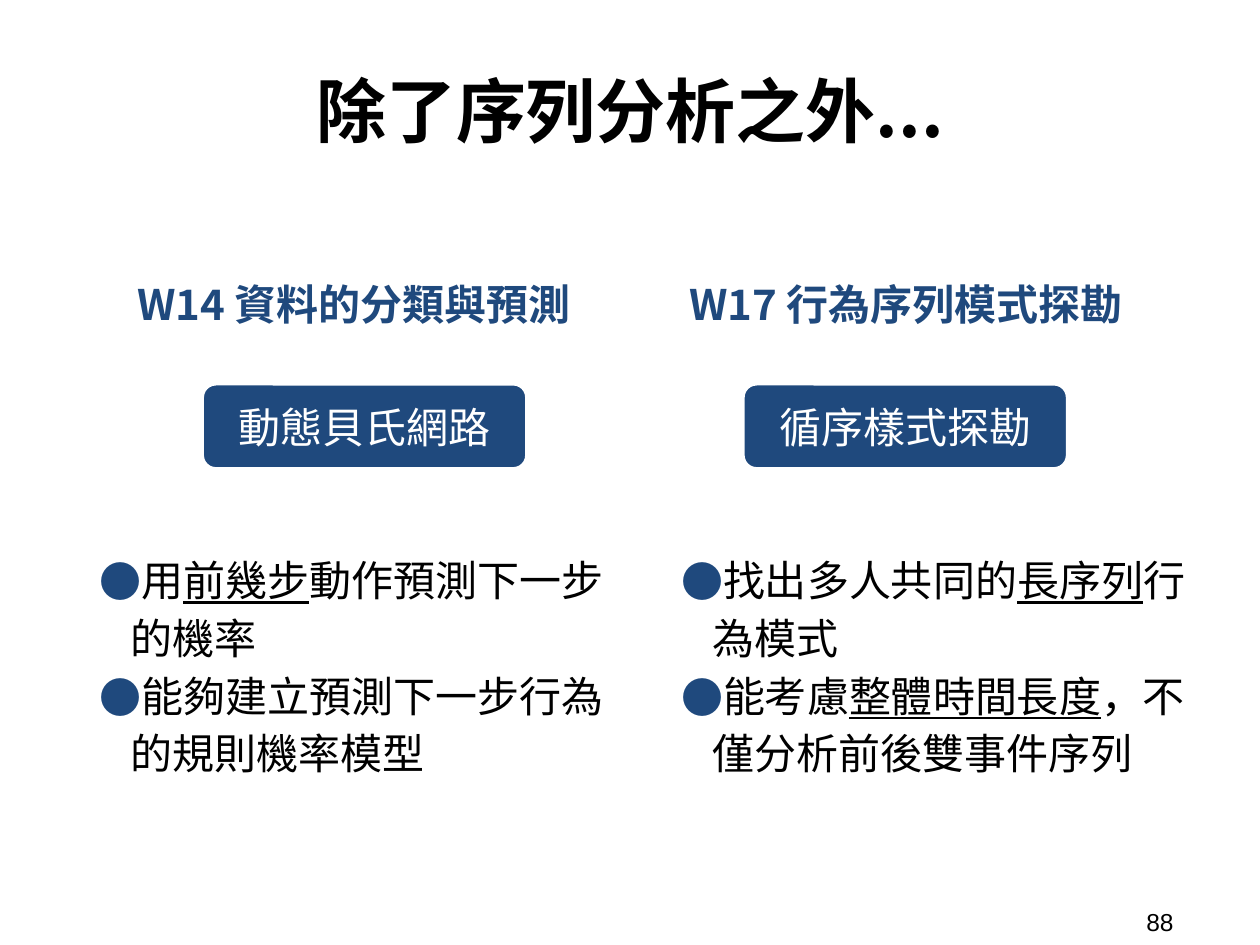
from lxml import etree
from pptx import Presentation
from pptx.dml.color import RGBColor
from pptx.enum.shapes import MSO_SHAPE
from pptx.enum.text import MSO_ANCHOR, MSO_AUTO_SIZE, PP_ALIGN
from pptx.oxml.ns import qn
from pptx.util import Cm, Pt

TOP, MIDDLE = MSO_ANCHOR.TOP, MSO_ANCHOR.MIDDLE
LEFT, CENTER = PP_ALIGN.LEFT, PP_ALIGN.CENTER
NAVY = RGBColor(0x1F, 0x49, 0x7D)
BLACK = RGBColor(0, 0, 0)
WHITE = RGBColor(255, 255, 255)
CJK_FONT = "Noto Sans CJK TC"

# Content: underlined parts of a point are (text, True)
TITLE = "除了序列分析之外..."
PAGE_NUMBER = "88"
TOPICS = [
    {
        "heading": "W14 資料的分類與預測",
        "method": "動態貝氏網路",
        "points": [
            [("用", False), ("前幾步", True), ("動作預測下一步的機率", False)],
            [("能夠建立預測下一步行為的規則機率模型", False)],
        ],
    },
    {
        "heading": "W17 行為序列模式探勘",
        "method": "循序樣式探勘",
        "points": [
            [("找出多人共同的", False), ("長序列", True), ("行為模式", False)],
            [("能考慮", False), ("整體時間長度", True), ("，不僅分析前後雙事件序列", False)],
        ],
    },
]

# Left edges of heading, method and points in each column (cm)
COLUMN_LEFTS = [(1.75, 4.06, 1.12), (12.88, 14.96, 12.85)]

# Text formats
TITLE_FORMAT = {"size": Pt(40), "bold": True, "name": CJK_FONT}
HEADING_FORMAT = {"size": Pt(24), "bold": True, "name": CJK_FONT}
POINT_FORMAT = {"size": Pt(24), "name": CJK_FONT}
METHOD_FORMAT = {"size": Pt(24), "name": "Arial"}
NUMBER_FORMAT = {"size": Pt(14), "name": "Arial"}


def prepare_frame(shape, anchor, inset=0.25):
    frame = shape.text_frame
    settings = {
        "word_wrap": True, "auto_size": MSO_AUTO_SIZE.NONE,
        "vertical_anchor": anchor,
        "margin_left": Cm(0.25), "margin_right": Cm(0.25),
        "margin_top": Cm(inset), "margin_bottom": Cm(inset),
    }
    for key, value in settings.items():
        setattr(frame, key, value)
    return frame


def add_run(paragraph, text, style, color, underline=False):
    run = paragraph.add_run()
    run.text = text
    for key, value in style.items():
        setattr(run.font, key, value)
    run.font.color.rgb = color
    if underline:
        run.font.underline = True
    # East Asian typeface
    east_asian = etree.SubElement(run.font._element, qn("a:ea"))
    east_asian.set("typeface", CJK_FONT)


def add_bullet(paragraph):
    properties = paragraph._p.get_or_add_pPr()
    properties.set("marL", str(Cm(1.27)))
    properties.set("indent", str(-Cm(0.64)))
    color = etree.SubElement(properties, qn("a:buClr"))
    etree.SubElement(color, qn("a:srgbClr")).set("val", str(NAVY))
    etree.SubElement(properties, qn("a:buFont")).set("typeface", CJK_FONT)
    etree.SubElement(properties, qn("a:buChar")).set("char", "●")


def write_line(shape, text, style, color, align, anchor, inset=0.25, spacing=None):
    paragraph = prepare_frame(shape, anchor, inset).paragraphs[0]
    paragraph.alignment = align
    if spacing:
        paragraph.line_spacing = spacing
    add_run(paragraph, text, style, color)


def add_points(slide, left, points):
    box = slide.shapes.add_textbox(Cm(left), Cm(10.77), Cm(11.38), Cm(7.19))
    frame = prepare_frame(box, TOP)
    for index, parts in enumerate(points):
        paragraph = frame.add_paragraph() if index else frame.paragraphs[0]
        add_bullet(paragraph)
        paragraph.line_spacing = 1.15
        for text, underline in parts:
            add_run(paragraph, text, POINT_FORMAT, BLACK, underline)


def add_method(slide, left, text):
    badge = slide.shapes.add_shape(
        MSO_SHAPE.ROUNDED_RECTANGLE, Cm(left), Cm(7.72), Cm(6.58), Cm(1.75))
    badge.shadow.inherit = False
    badge.fill.solid()
    badge.fill.fore_color.rgb = NAVY
    badge.line.color.rgb = WHITE
    badge.line.width = Pt(3)
    write_line(badge, text, METHOD_FORMAT, WHITE, CENTER, MIDDLE)


def main():
    presentation = Presentation()
    presentation.slide_width, presentation.slide_height = Cm(25.4), Cm(19.05)
    slide = presentation.slides.add_slide(presentation.slide_layouts[5])

    # Title
    title = slide.shapes.title
    title.left, title.top, title.width, title.height = (
        Cm(1.32), Cm(0.48), Cm(22.76), Cm(3.45))
    write_line(title, TITLE, TITLE_FORMAT, BLACK, CENTER, MIDDLE)

    # One column per topic
    for topic, lefts in zip(TOPICS, COLUMN_LEFTS):
        heading_left, method_left, points_left = lefts
        heading = slide.shapes.add_textbox(
            Cm(heading_left), Cm(5.21), Cm(10.77), Cm(1.63))
        write_line(heading, topic["heading"], HEADING_FORMAT, NAVY, CENTER, TOP,
                   spacing=1.15)
        add_method(slide, method_left, topic["method"])
        add_points(slide, points_left, topic["points"])

    # Page number
    number = slide.shapes.add_textbox(Cm(22.86), Cm(18.21), Cm(2.34), Cm(0.74))
    write_line(number, PAGE_NUMBER, NUMBER_FORMAT, BLACK, LEFT, MIDDLE, inset=0.13)

    presentation.save("out.pptx")


if __name__ == "__main__":
    main()
